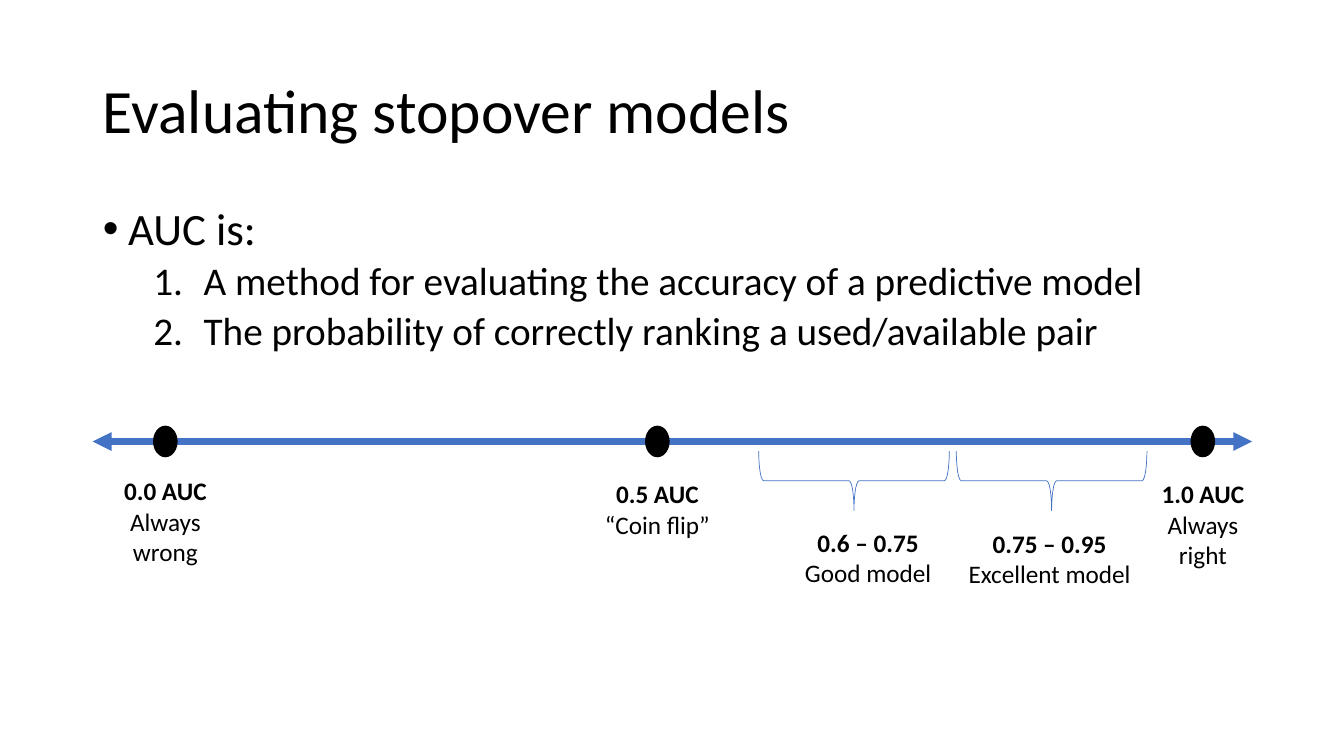
from lxml.etree import SubElement
from pptx import Presentation
from pptx.dml.color import RGBColor
from pptx.enum.shapes import MSO_CONNECTOR, MSO_SHAPE
from pptx.enum.text import MSO_ANCHOR, MSO_AUTO_SIZE, PP_ALIGN
from pptx.oxml.ns import qn
from pptx.util import Inches, Pt

COLORS = {"ink": "000000", "blue": "4472C4"}


class Deck:
    """Hold the style and the current slide."""

    def __init__(self):
        """Start a wide deck with one title and list slide."""
        self.prs = Presentation()
        self.prs.slide_width = Inches(13.33)
        self.prs.slide_height = Inches(7.5)
        self.slide = self.prs.slides.add_slide(self.prs.slide_layouts[1])
        self.face = "Calibri"

    def color(self, name):
        """Return a named colour."""
        return RGBColor.from_string(COLORS[name])

    def style(self, para, size, bold=False):
        """Format the runs of a paragraph."""
        for run in para.runs:
            font = run.font
            font.name, font.size, font.bold = self.face, Pt(size), bold
            font.color.rgb = self.color("ink")

    def place(self, shape, box):
        """Move and size a shape."""
        shape.left, shape.top, shape.width, shape.height = map(Inches, box)

    def title(self, text, box):
        """Fill the title."""
        shape = self.slide.shapes.title
        self.place(shape, box)
        frame = shape.text_frame
        frame.text = text
        frame.auto_size = MSO_AUTO_SIZE.NONE
        frame.vertical_anchor = MSO_ANCHOR.MIDDLE
        para = frame.paragraphs[0]
        para.alignment = PP_ALIGN.LEFT
        para.line_spacing = 0.9
        self.style(para, 44)

    def body(self, head, items, box):
        """Fill the body with a bullet and its numbered items."""
        shape = self.slide.placeholders[1]
        self.place(shape, box)
        frame = shape.text_frame
        frame.text = "\n".join([head, *items])
        frame.auto_size = MSO_AUTO_SIZE.NONE
        for i, para in enumerate(frame.paragraphs):
            sub = i > 0
            para.level = int(sub)
            para.line_spacing = 0.9
            para.space_before = Pt(5 if sub else 0)
            props = para._p.get_or_add_pPr()
            props.set("marL", str(Inches(1 if sub else 0.25)))
            props.set("indent", str(Inches(-0.5 if sub else -0.25)))
            face = "+mj-lt" if sub else "Arial"
            SubElement(props, qn("a:buFont"), typeface=face)
            if sub:
                SubElement(props, qn("a:buAutoNum"), type="arabicPeriod")
            else:
                SubElement(props, qn("a:buChar"), char="•")
            self.style(para, 28 if sub else 32)

    def axis(self, left, right, y):
        """Draw a line with an arrowhead at each end."""
        line = self.slide.shapes.add_connector(
            MSO_CONNECTOR.STRAIGHT, Inches(left), Inches(y), Inches(right), Inches(y))
        line.line.color.rgb = self.color("blue")
        line.line.width = Pt(4.5)
        stroke = line.line._get_or_add_ln()
        for end in ("a:headEnd", "a:tailEnd"):
            SubElement(stroke, qn(end), type="triangle")
        SubElement(line._element.spPr, qn("a:effectLst"))

    def shape(self, kind, box, line, width, fill=None):
        """Draw a preset shape."""
        shape = self.slide.shapes.add_shape(kind, *map(Inches, box))
        shape.shadow.inherit = False
        shape.line.color.rgb = self.color(line)
        shape.line.width = Pt(width)
        if fill:
            shape.fill.solid()
            shape.fill.fore_color.rgb = self.color(fill)
        else:
            shape.fill.background()
        return shape

    def dot(self, mid, y):
        """Mark a point on the axis."""
        self.shape(MSO_SHAPE.OVAL, (mid - 0.115, y - 0.15, 0.23, 0.3), "ink", 1, "ink")

    def brace(self, mid, y):
        """Draw a brace that opens up to the axis."""
        box = (mid - 0.295, y - 0.945, 0.59, 1.89)
        self.shape(MSO_SHAPE.LEFT_BRACE, box, "blue", 0.5).rotation = 270

    def label(self, head, text, mid, top, width, height=0.71):
        """Write a bold value over its meaning."""
        box = (mid - width / 2, top, width, height)
        frame = self.slide.shapes.add_textbox(*map(Inches, box)).text_frame
        frame.word_wrap = True
        frame.text = f"{head}\n{text}"
        for i, para in enumerate(frame.paragraphs):
            para.alignment = PP_ALIGN.CENTER
            self.style(para, 18, i == 0)


def main():
    """Build the slide."""
    deck = Deck()
    deck.title("Evaluating stopover models", (0.92, 0.4, 11.5, 1.45))
    deck.body("AUC is:", [
        "A method for evaluating the accuracy of a predictive model",
        "The probability of correctly ranking a used/available pair",
    ], (0.92, 2, 11.74, 4.76))
    y = 4.38
    deck.axis(0.92, 12.42, y)
    points = [
        ("0.0 AUC", "Always wrong", 1.64, 4.67, 1.21, 1.01),
        ("0.5 AUC", "“Coin flip”", 6.52, 4.7, 1.37),
        ("1.0 AUC", "Always right", 11.93, 4.7, 1.21, 1.01),
    ]
    for point in points:
        deck.dot(point[2], y)
        deck.label(*point)
    for mid in (8.47, 10.43):
        deck.brace(mid, 4.77)
    deck.label("0.6 – 0.75", "Good model", 8.61, 5.18, 1.62)
    deck.label("0.75 – 0.95", "Excellent model", 10.41, 5.19, 1.82)
    deck.prs.save("out.pptx")


if __name__ == "__main__":
    main()
